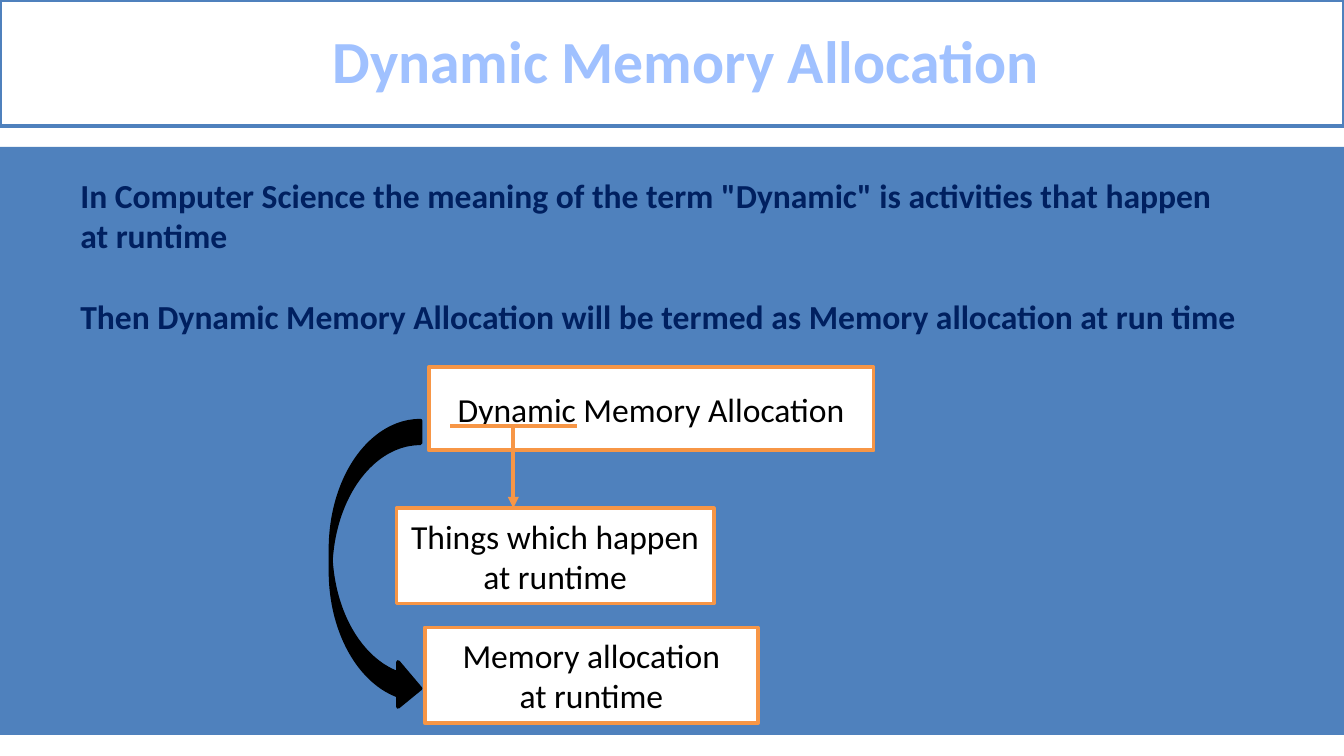
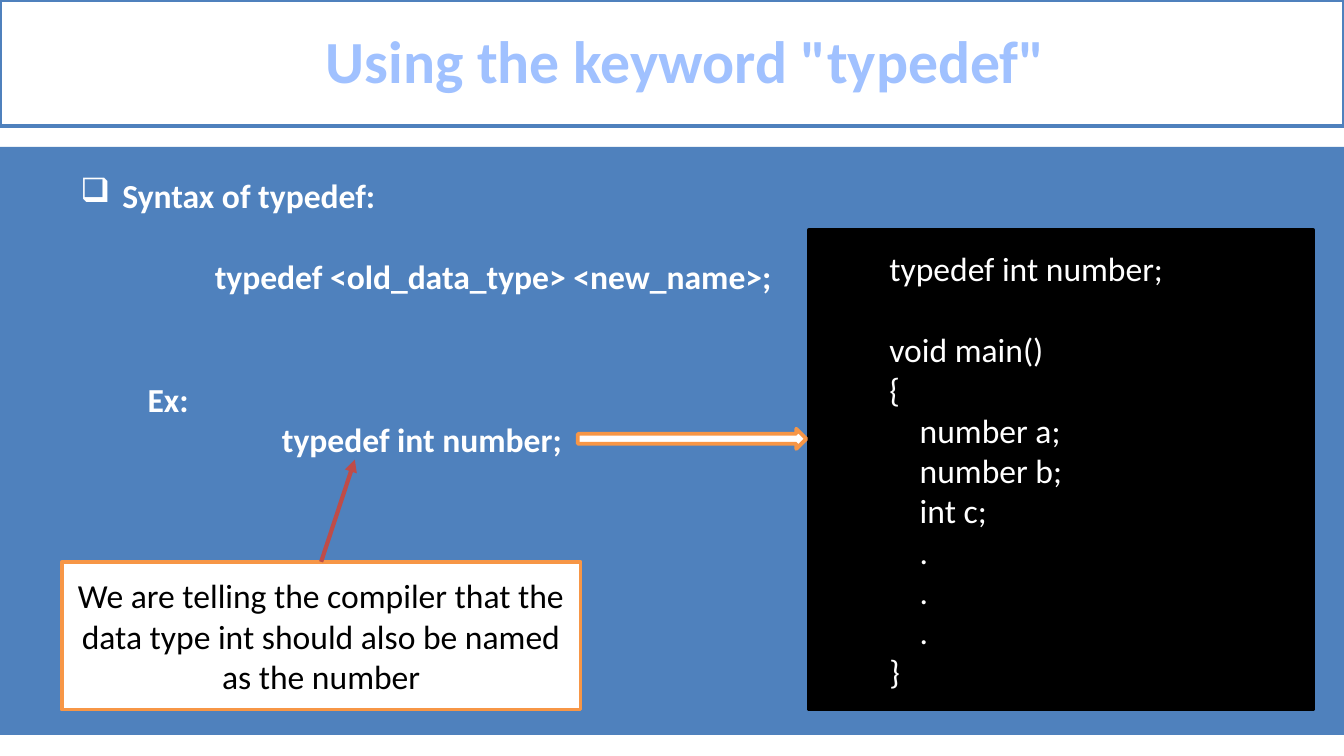
from lxml import etree
from pptx import Presentation
from pptx.dml.color import RGBColor
from pptx.enum import shapes, text
from pptx.oxml.ns import qn
from pptx.util import Pt

BLUE, ORANGE, RED = "4F81BD", "F79646", "BF4C48"
WHITE, BLACK, NAVY, TITLE = "FFFFFF", "000000", "002060", "A0C1FF"
FONT = "Calibri"
BLANK_LINE = 22
hue = RGBColor.from_string
KIND = shapes.MSO_SHAPE
STRAIGHT = shapes.MSO_CONNECTOR.STRAIGHT
CENTER, LEFT = text.PP_ALIGN.CENTER, text.PP_ALIGN.LEFT


def add_box(page, kind, place, fill, line=None):
    box = page.shapes.add_shape(kind, *[Pt(length) for length in place])
    box.shadow.inherit = False
    box.fill.solid()
    box.fill.fore_color.rgb = hue(fill)
    if line:
        box.line.color.rgb = hue(line)
        box.line.width = Pt(2)
    else:
        box.line.fill.background()
    return box


def write(box, rows, colour, size=18, bold=False, align=CENTER):
    """Each row is text, left margin, space before and an optional bullet."""
    frame = box.text_frame
    frame.word_wrap = True
    for index, (words, margin, before, *bullet) in enumerate(rows):
        para = frame.paragraphs[0] if index == 0 else frame.add_paragraph()
        para.alignment = align
        para.space_before = Pt(before)
        props = para._p.get_or_add_pPr()
        props.set("marL", str(Pt(margin)))
        props.set("indent", str(Pt(-22.5 if bullet else 0)))
        if bullet:
            etree.SubElement(props, qn("a:buChar")).set("char", bullet[0])
        span = para.add_run()
        span.text = words
        span.font.name = FONT
        span.font.size = Pt(size)
        span.font.bold = bold
        span.font.color.rgb = hue(colour)


deck = Presentation()
deck.slide_width, deck.slide_height = Pt(720), Pt(405)

# Panel, title band and body text shared by both slides
bodies = [
    ("Dynamic Memory Allocation", NAVY, [
        ('In Computer Science the meaning of the term "Dynamic" is activities that happen', 36, 0),
        ("at runtime", 36, 0),
        ("Then Dynamic Memory Allocation will be termed as Memory allocation at run time",
         36, BLANK_LINE),
    ]),
    ('Using the keyword "typedef"', WHITE, [
        ("Syntax of typedef:", 58.5, 0, "❑"),
        ("typedef <old_data_type> <new_name>;", 108, BLANK_LINE),
        ("Ex:", 72, 2 * BLANK_LINE),
        ("typedef int number;", 144, 0),
    ]),
]
pages = []
for heading, colour, rows in bodies:
    page = deck.slides.add_slide(deck.slide_layouts[6])
    add_box(page, KIND.RECTANGLE, (0, 78.7, 720, 315), BLUE)
    band = add_box(page, KIND.RECTANGLE, (0, 0, 720, 67.5), WHITE, BLUE)
    write(band, [(heading, 15, 0)], TITLE, size=32, bold=True)
    band.text_frame.paragraphs[0].line_spacing = 0.96
    body = page.shapes.add_textbox(Pt(0), Pt(90), Pt(720), Pt(300))
    write(body, rows, colour, bold=True, align=LEFT)
    pages.append(page)
meaning, syntax = pages

# Slide 1: the term and its two explanations
for place, lines in [
    ((229.7, 196.7, 238.3, 44.6), ["Dynamic Memory Allocation"]),
    ((212.4, 272.2, 170, 51.1), ["Things which happen", "at runtime"]),
    ((227.5, 336.2, 178.6, 51.1), ["Memory allocation", "at runtime"]),
]:
    box = add_box(meaning, KIND.RECTANGLE, place, WHITE, ORANGE)
    write(box, [(line, 0, 0) for line in lines], BLACK)
add_box(meaning, KIND.CURVED_RIGHT_ARROW, (177.1, 225.4, 48.2, 155.5), BLACK, BLACK)

# Slide 2: explanation, code and the arrow between example and code
note = add_box(syntax, KIND.RECTANGLE, (33.1, 301, 277.9, 79.2), WHITE, ORANGE)
write(note, [("We are telling the compiler that the data type int should also be "
              "named as the number", 0, 0)], BLACK)
code = add_box(syntax, KIND.RECTANGLE, (433.4, 123.1, 270, 257), BLACK, BLACK)
code_lines = ["typedef int number;", "void main()", "{", "    number a;", "    number b;",
              "    int c;", "    .", "    .", "    .", "}"]
write(code, [(line, 36, BLANK_LINE if line == "void main()" else 0) for line in code_lines],
      WHITE, align=LEFT)
add_box(syntax, KIND.RIGHT_ARROW, (309.6, 229.7, 122.4, 10.8), WHITE, ORANGE)

# Underline of the term and the two thin arrows
for page, ends, colour, width, head, source in [
    (meaning, (241.2, 228.2, 308.9, 228.2), ORANGE, 2, False, None),
    (meaning, (275, 228.2, 275, 272.2), ORANGE, 2, True, None),
    (syntax, (172.1, 301, 190.1, 246.2), RED, 2.25, True, note),
]:
    link = page.shapes.add_connector(STRAIGHT, *[Pt(length) for length in ends])
    if source:
        link.begin_connect(source, 0)
    link.line.color.rgb = hue(colour)
    link.line.width = Pt(width)
    if head:
        etree.SubElement(link.line._get_or_add_ln(), qn("a:tailEnd")).set("type", "triangle")
    etree.SubElement(link._element.spPr, qn("a:effectLst"))

deck.save("out.pptx")
